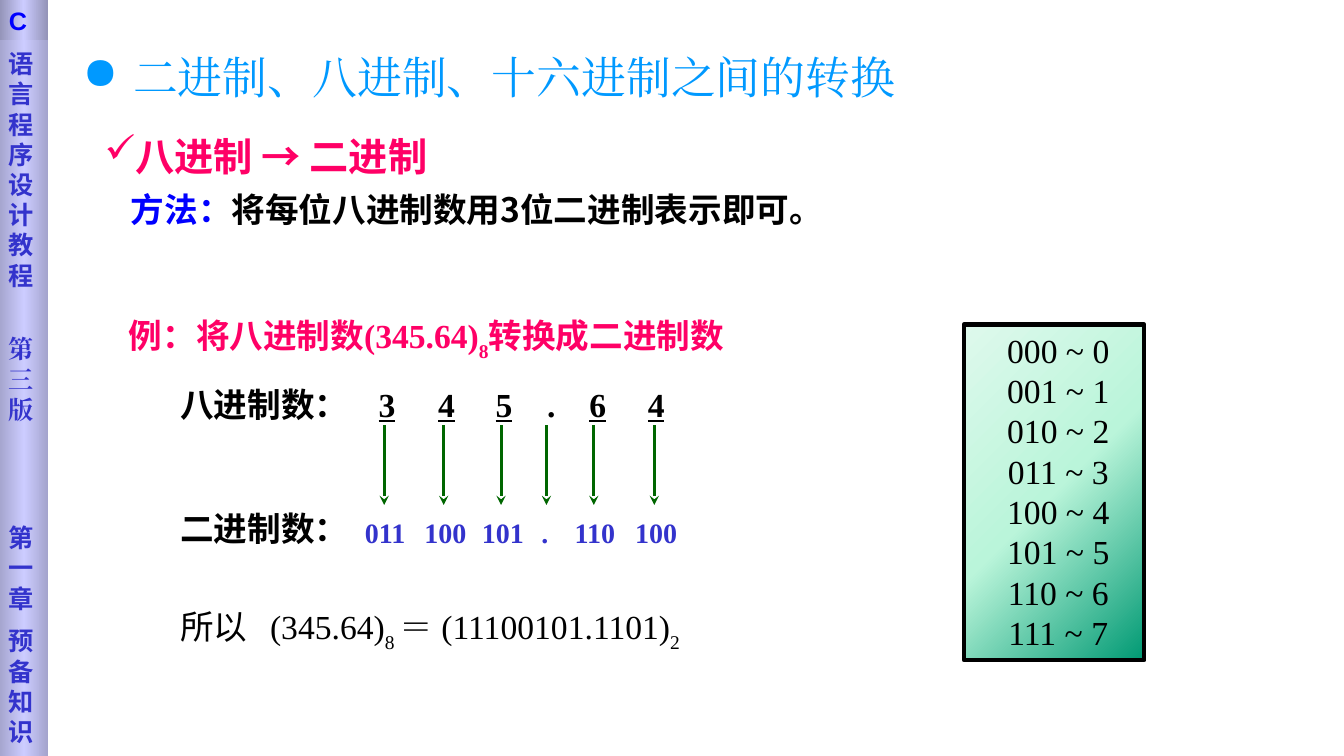
from copy import deepcopy

from lxml import etree
from pptx import Presentation
from pptx.dml.color import RGBColor
from pptx.enum.shapes import MSO_CONNECTOR, MSO_SHAPE
from pptx.enum.text import MSO_ANCHOR, PP_ALIGN
from pptx.oxml.ns import qn
from pptx.util import Inches, Pt

RECTANGLE = MSO_SHAPE.RECTANGLE
STRAIGHT = MSO_CONNECTOR.STRAIGHT
TOP, MIDDLE = MSO_ANCHOR.TOP, MSO_ANCHOR.MIDDLE
CENTER, LEFT = PP_ALIGN.CENTER, PP_ALIGN.LEFT

BLACK = RGBColor(0x00, 0x00, 0x00)
BLUE = RGBColor(0x00, 0x00, 0xFF)
SKY = RGBColor(0x00, 0x99, 0xFF)
PINK = RGBColor(0xFF, 0x00, 0x66)
INDIGO = RGBColor(0x33, 0x33, 0xCC)
GREEN = RGBColor(0x00, 0x66, 0x00)
LAVENDER = RGBColor(0xCC, 0xCC, 0xFF)
SIDE_EDGE = RGBColor(0xA4, 0xA4, 0xCD)
CAP_EDGE = RGBColor(0x92, 0x92, 0xB6)
TABLE_STOPS = (RGBColor(0x00, 0x99, 0x73), RGBColor(0xBA, 0xF5, 0xDA),
               RGBColor(0xDE, 0xF9, 0xEC))

SANS = "Noto Sans CJK SC"
SERIF = "Times New Roman"


def add_box(left, top, width, height, anchor=TOP):
    box = page.shapes.add_textbox(Inches(left), Inches(top), Inches(width), Inches(height))
    box.text_frame.word_wrap = True
    box.text_frame.vertical_anchor = anchor
    return box.text_frame


def add_span(para, text, size, font, color, bold=False, underline=False, subscript=False):
    span = para.add_run()
    span.text = text
    span.font.size = Pt(size)
    span.font.name = font
    span.font.color.rgb = color
    span.font.bold = bold
    span.font.underline = underline
    properties = span.font._element
    etree.SubElement(properties, qn("a:ea")).set("typeface", font)
    if subscript:
        properties.set("baseline", "-30000")


deck = Presentation()
deck.slide_width, deck.slide_height = Inches(13.33), Inches(7.5)
page = deck.slides.add_slide(deck.slide_layouts[6])

panels = []
for left, top, width, height, angle, stops in (
    (-0.01, 0, 0.49, 7.5, 0, (SIDE_EDGE, LAVENDER, SIDE_EDGE)),
    (-0.01, 0, 0.49, 0.4, 0, (CAP_EDGE, LAVENDER, CAP_EDGE)),
    (9.56, 3.22, 1.79, 3.33, 135, TABLE_STOPS),
):
    panel = page.shapes.add_shape(
        RECTANGLE, Inches(left), Inches(top), Inches(width), Inches(height))
    panel.shadow.inherit = False
    panel.line.fill.background()
    panel.fill.gradient()
    panel.fill.gradient_angle = angle
    stop_list = panel._element.spPr.find(qn("a:gradFill")).find(qn("a:gsLst"))
    stop_list.append(deepcopy(stop_list[1]))
    for stop, color, position in zip(panel.fill.gradient_stops, stops, (0, 0.5, 1)):
        stop.color.rgb = color
        stop.position = position
    panel.text_frame.vertical_anchor = TOP
    panels.append(panel)
sidebar, cap, octal_table = panels

frame = sidebar.text_frame
frame.margin_top = Inches(0.48)
for index, (words, font, gap) in enumerate((
    ("语言程序设计教程", "DejaVu Sans", 0),
    ("第三版", SERIF, 31),
    ("第一章", "DejaVu Sans", 70),
    ("预备知识", "DejaVu Sans", 9),
)):
    para = frame.add_paragraph() if index else frame.paragraphs[0]
    para.alignment = LEFT
    para.space_before = Pt(gap)
    add_span(para, words, 18, font, INDIGO, bold=True)

para = cap.text_frame.paragraphs[0]
para.alignment = LEFT
add_span(para, "C", 18, "Arial", BLUE, bold=True)

octal_table.line.color.rgb = BLACK
octal_table.line.width = Pt(3)
frame = octal_table.text_frame
frame.margin_left = Inches(0.18)
for digit in range(8):
    para = frame.add_paragraph() if digit else frame.paragraphs[0]
    para.alignment = CENTER
    add_span(para, f"{digit:03b} ~ {digit}", 24, SERIF, BLACK)

frame = add_box(0.82, 0.44, 8.98, 0.63)
frame.margin_left = 0
title = frame.paragraphs[0]
add_span(title, "二进制、八进制、十六进制之间的转换", 32, SERIF, SKY)

frame = add_box(0.9, 1.31, 8.43, 1.26)
heading, method = frame.paragraphs[0], frame.add_paragraph()
heading.line_spacing = method.line_spacing = Pt(30)
method.space_before = Pt(6)
add_span(heading, "八进制 → 二进制", 28, SANS, PINK, bold=True)
add_span(method, "方法：", 24, SANS, BLUE, bold=True)
add_span(method, "将每位八进制数用3位二进制表示即可。", 24, SANS, BLACK, bold=True)
method._p.get_or_add_pPr().set("marL", str(Inches(0.3)))

for para, mark, margin, hanging in ((title, "●", 0.5, 0.5), (heading, "✓", 0.33, 0.29)):
    properties = para._p.get_or_add_pPr()
    properties.set("marL", str(Inches(margin)))
    properties.set("indent", str(-Inches(hanging)))
    etree.SubElement(properties, qn("a:buChar")).set("char", mark)

example = add_box(1.18, 3.11, 7.24, 0.5, MIDDLE).paragraphs[0]
add_span(example, "例：将八进制数", 24, SANS, PINK, bold=True)
add_span(example, "(345.64)", 24, SERIF, PINK, bold=True)
add_span(example, "8", 24, SERIF, PINK, bold=True, subscript=True)
add_span(example, "转换成二进制数", 24, SANS, PINK, bold=True)

octal = add_box(1.69, 3.76, 5.56, 0.5, MIDDLE).paragraphs[0]
result = add_box(1.69, 6, 6.77, 0.5, MIDDLE).paragraphs[0]
for para, align, positions in (
    (octal, "ctr", (2.05, 2.64, 3.21, 3.68, 4.14, 4.72)),
    (result, "l", (0.89,)),
):
    tabs = etree.SubElement(para._p.get_or_add_pPr(), qn("a:tabLst"))
    for position in positions:
        tab = etree.SubElement(tabs, qn("a:tab"))
        tab.set("pos", str(Inches(position)))
        tab.set("algn", align)

add_span(octal, "八进制数：", 24, SANS, BLACK, bold=True)
for digit in "345.64":
    add_span(octal, "\t", 24, SERIF, BLACK, bold=True)
    add_span(octal, digit, 24, SERIF, BLACK, bold=True, underline=digit != ".")

add_span(result, "所以\t", 24, SANS, BLACK)
add_span(result, "(345.64)", 24, SERIF, BLACK)
add_span(result, "8 ", 24, SERIF, BLACK, subscript=True)
add_span(result, "＝ (11100101.1101)", 24, SERIF, BLACK)
add_span(result, "2", 24, SERIF, BLACK, subscript=True)

binary = add_box(1.69, 4.99, 1.88, 0.5).paragraphs[0]
add_span(binary, "二进制数：", 24, SANS, BLACK, bold=True)

for x, bits, shift in (
    (3.81, "011", 0), (4.4, "100", 0), (4.97, "101", 0),
    (5.42, ".", 0.14), (5.89, "110", 0), (6.49, "100", 0),
):
    arrow = page.shapes.add_connector(
        STRAIGHT, Inches(x), Inches(4.22), Inches(x), Inches(5.01))
    arrow.line.color.rgb = GREEN
    arrow.line.width = Pt(2.25)
    etree.SubElement(arrow.line._get_or_add_ln(), qn("a:tailEnd")).set("type", "stealth")
    etree.SubElement(arrow._element.spPr, qn("a:effectLst"))
    label = add_box(x - 0.29 + shift, 5.07, 0.71, 0.43, MIDDLE).paragraphs[0]
    add_span(label, bits, 20, SERIF, INDIGO, bold=True)

deck.save("out.pptx")
